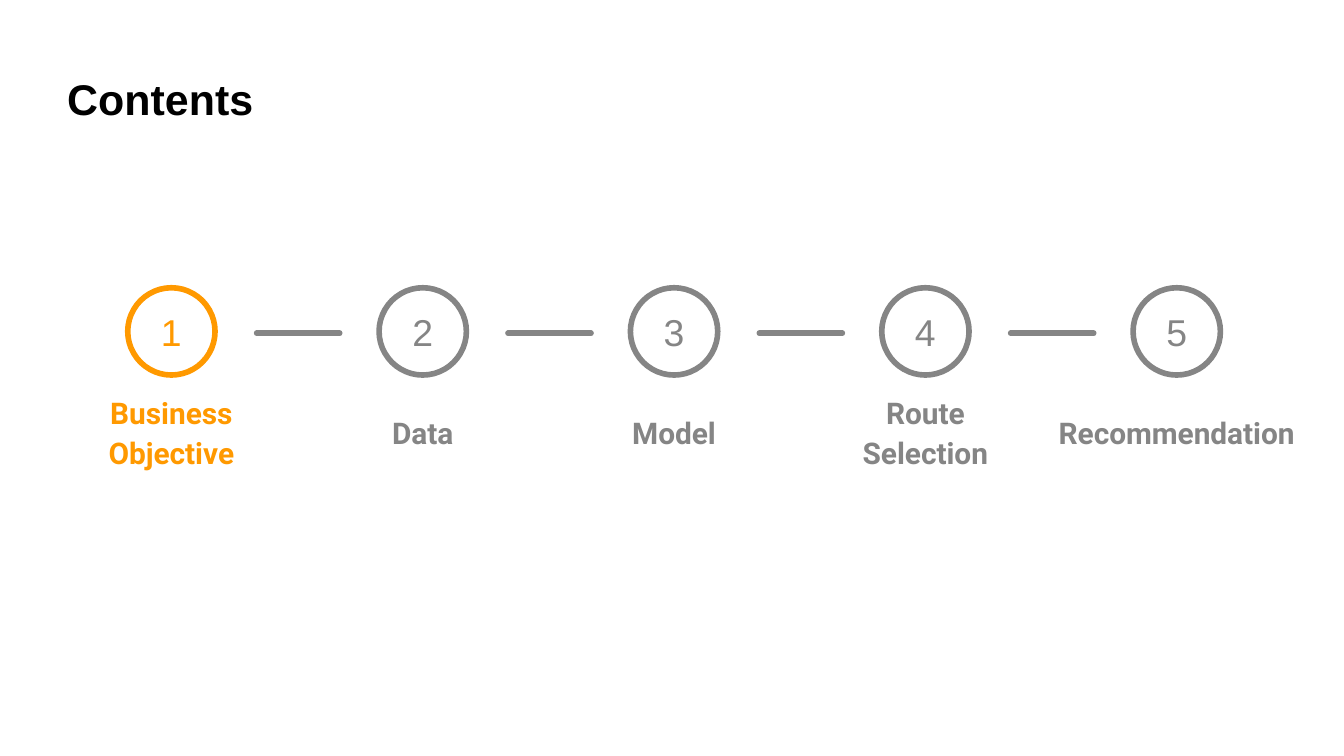
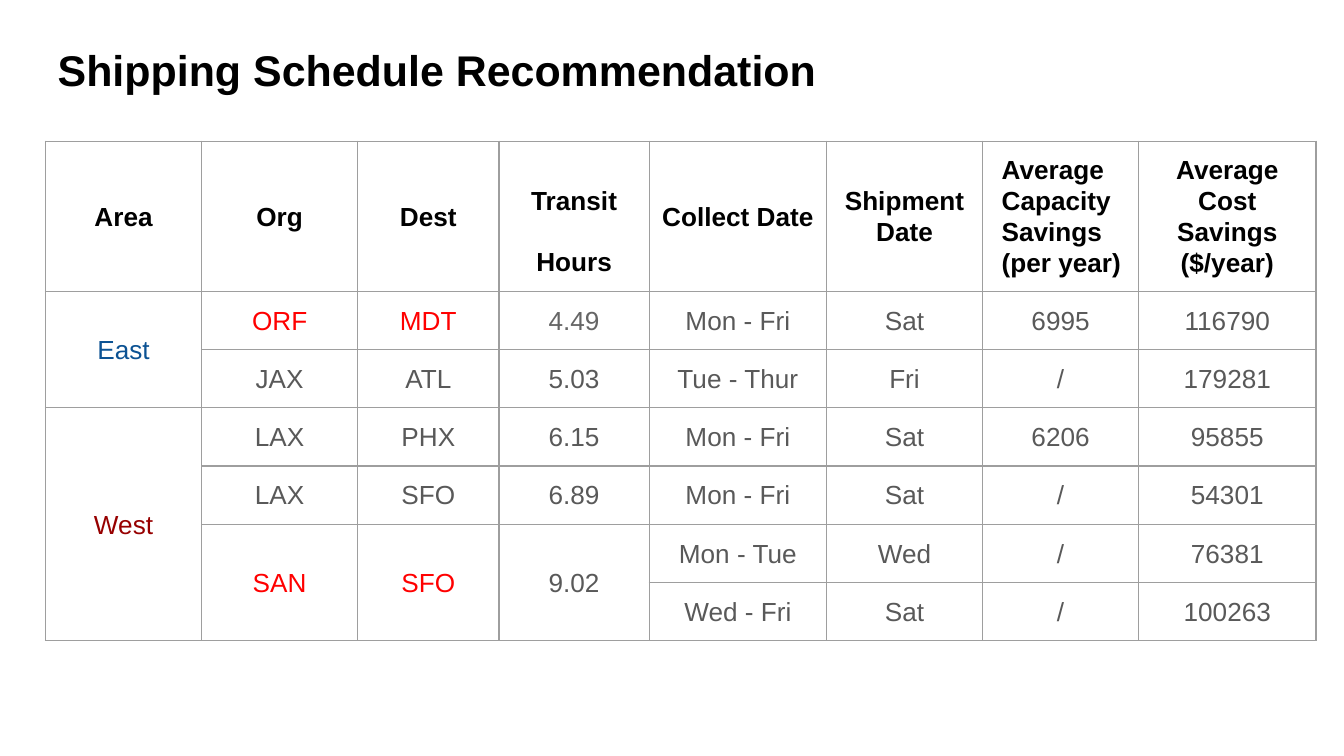
from dataclasses import dataclass

from lxml import etree
from pptx import Presentation
from pptx.dml.color import RGBColor
from pptx.enum.shapes import MSO_CONNECTOR, MSO_SHAPE
from pptx.enum.text import MSO_ANCHOR, MSO_AUTO_SIZE, PP_ALIGN
from pptx.oxml import parse_xml
from pptx.oxml.ns import nsdecls, qn
from pptx.util import Cm, Pt

OVAL = MSO_SHAPE.OVAL
LINE = MSO_CONNECTOR.STRAIGHT
TOP, MIDDLE = MSO_ANCHOR.TOP, MSO_ANCHOR.MIDDLE
LEFT, CENTER = PP_ALIGN.LEFT, PP_ALIGN.CENTER
FIXED = MSO_AUTO_SIZE.NONE


@dataclass(frozen=True)
class Theme:
    sans: str = "Arial"
    label: str = "Roboto"
    black: str = "000000"
    orange: str = "FF9900"
    gray: str = "858585"
    text: str = "595959"
    pale: str = "666666"
    red: str = "FF0000"
    east: str = "0B5293"
    west: str = "970000"
    rule: str = "9E9E9E"
    head_size: float = 23
    step_size: float = 20
    label_size: float = 16
    cell_size: float = 14
    cell_line: float = 16.5
    stroke: float = 3


theme = Theme()


def write(para, text, size, color, bold=False, font=theme.sans, align=CENTER):
    para.alignment = align
    run = para.add_run()
    run.text = text
    run.font.size = Pt(size)
    run.font.name = font
    run.font.bold = bold
    run.font.color.rgb = RGBColor.from_string(color)


def frame(shape, anchor, top=0):
    body = shape.text_frame
    body.word_wrap = True
    body.auto_size = FIXED
    body.vertical_anchor = anchor
    body.margin_left = body.margin_right = body.margin_bottom = 0
    body.margin_top = Cm(top)
    return body.paragraphs[0]


deck = Presentation()
deck.slide_width, deck.slide_height = Cm(25.4), Cm(14.29)

heads = [
    ("Contents", 1.27, 1.24, 3.7),
    ("Shipping Schedule Recommendation", 1.09, 0.69, 14.6),
]
pages = []
for text, left, top, width in heads:
    page = deck.slides.add_slide(deck.slide_layouts[5])
    title = page.shapes.title
    title.left, title.top = Cm(left), Cm(top)
    title.width, title.height = Cm(width), Cm(1.04)
    write(frame(title, TOP, 0.14), text, theme.head_size, theme.black, True, align=LEFT)
    pages.append(page)
agenda, plan = pages

steps = [
    ("Business Objective", 2.72),
    ("Data", 1.8),
    ("Model", 2.3),
    ("Route Selection", 2.72),
    ("Recommendation", 4.8),
]
first, pitch, ring = 3.24, 4.75, 1.65
for i, (text, width) in enumerate(steps):
    mid = first + i * pitch
    color = theme.gray if i else theme.orange

    disc = agenda.shapes.add_shape(OVAL, Cm(mid - ring / 2), Cm(5.44), Cm(ring), Cm(ring))
    disc.shadow.inherit = False
    disc.fill.background()
    disc.line.color.rgb = RGBColor.from_string(color)
    disc.line.width = Pt(theme.stroke)
    write(frame(disc, MIDDLE), str(i + 1), theme.step_size, color)

    label = agenda.shapes.add_textbox(Cm(mid - width / 2), Cm(7.33), Cm(width), Cm(1.6))
    para = frame(label, MIDDLE)
    para.line_spacing = 1.13
    write(para, text, theme.label_size, color, True, theme.label)

    if i < len(steps) - 1:
        start = mid + 1.61
        link = agenda.shapes.add_connector(LINE, Cm(start), Cm(6.3), Cm(start + 1.57), Cm(6.3))
        link.line.color.rgb = RGBColor.from_string(theme.gray)
        link.line.width = Pt(theme.stroke)
        props = link._element.spPr
        props.find(qn("a:ln")).set("cap", "rnd")
        etree.SubElement(props, qn("a:effectLst"))

widths = [2.95, 2.95, 2.67, 2.84, 3.35, 2.95, 2.95, 3.35]
heights = [2.84] + [1.1] * 6
rows = [
    ["Area", "Org", "Dest", "Transit\nHours", "Collect Date", "Shipment Date",
     "Average Capacity Savings (per year)", "Average Cost Savings ($/year)"],
    ["East", "ORF", "MDT", "4.49", "Mon - Fri", "Sat", "6995", "116790"],
    [None, "JAX", "ATL", "5.03", "Tue - Thur", "Fri", "/", "179281"],
    ["West", "LAX", "PHX", "6.15", "Mon - Fri", "Sat", "6206", "95855"],
    [None, "LAX", "SFO", "6.89", "Mon - Fri", "Sat", "/", "54301"],
    [None, "SAN", "SFO", "9.02", "Mon - Tue", "Wed", "/", "76381"],
    [None, None, None, None, "Wed - Fri", "Sat", "/", "100263"],
]
tints = {
    (1, 0): theme.east, (3, 0): theme.west, (1, 3): theme.pale,
    (1, 1): theme.red, (1, 2): theme.red, (5, 1): theme.red, (5, 2): theme.red,
}
pads = {(0, 3): (0, 0, 0.56), (0, 6): (0.36, 0, 0), (0, 7): (0.25, 0.25, 0)}

grid = plan.shapes.add_table(
    len(rows), len(widths), Cm(0.86), Cm(2.67), Cm(sum(widths)), Cm(sum(heights))
).table
grid.first_row = grid.horz_banding = False
for col, width in zip(grid.columns, widths):
    col.width = Cm(width)
for row, height in zip(grid.rows, heights):
    row.height = Cm(height)

for r, row in enumerate(rows):
    for c, text in enumerate(row):
        cell = grid.cell(r, c)
        cell.fill.background()
        props = cell._tc.get_or_add_tcPr()
        for k, side in enumerate("LRTB"):
            props.insert(k, parse_xml(
                f'<a:ln{side} {nsdecls("a")} w="{Pt(0.75)}"><a:solidFill>'
                f'<a:srgbClr val="{theme.rule}"/></a:solidFill></a:ln{side}>'
            ))
        if text is None:
            continue
        left, right, top = pads.get((r, c), (0, 0, 0))
        cell.margin_left, cell.margin_right = Cm(left), Cm(right)
        cell.margin_top, cell.margin_bottom = Cm(top), 0
        cell.vertical_anchor = MIDDLE
        color = tints.get((r, c), theme.text if r else theme.black)
        align = LEFT if (r, c) == (0, 6) else CENTER
        for n, part in enumerate(text.split("\n")):
            para = cell.text_frame.add_paragraph() if n else cell.text_frame.paragraphs[0]
            para.line_spacing = Pt(theme.cell_line)
            if n:
                para.space_before = Pt(theme.cell_line)
            write(para, part, theme.cell_size, color, r == 0, align=align)

for c, top, end in [(0, 1, 2), (0, 3, 6), (1, 5, 6), (2, 5, 6), (3, 5, 6)]:
    grid.cell(top, c).merge(grid.cell(end, c))

deck.save("out.pptx")
